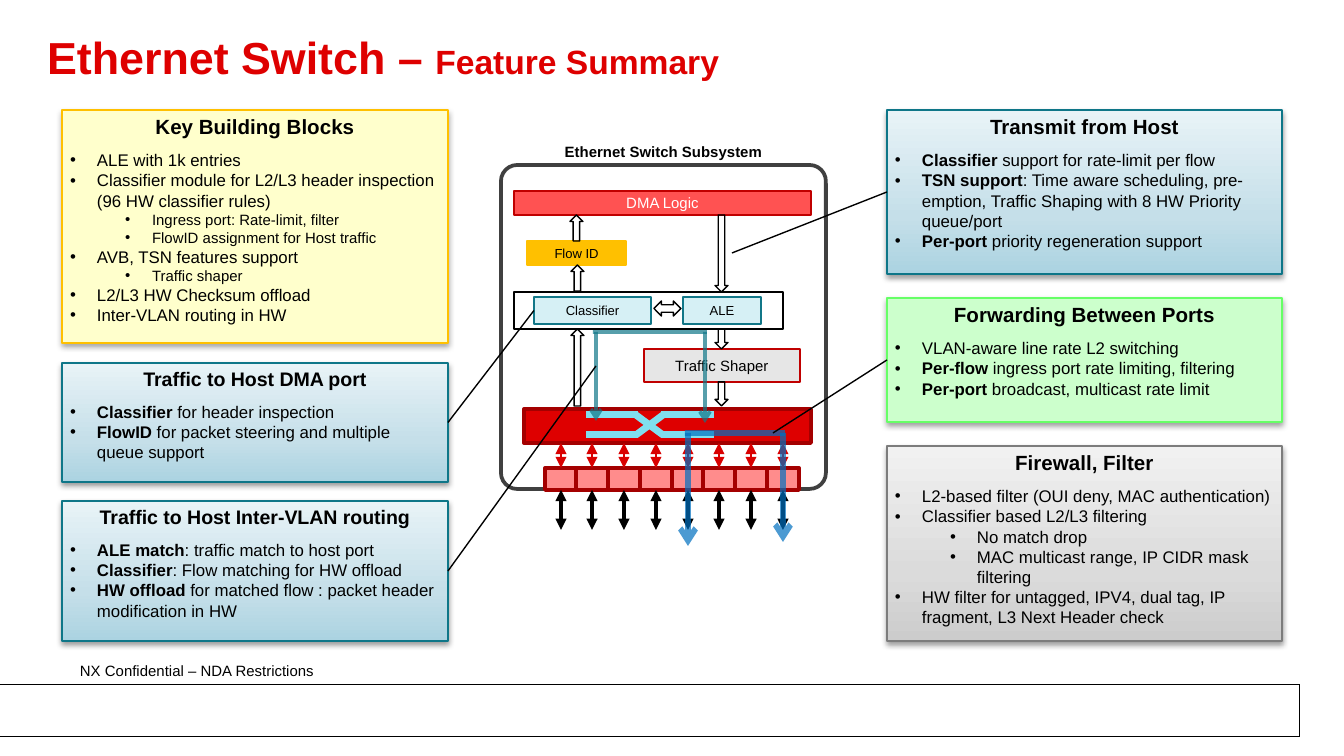
import pptx
import pptx.util
import pptx.dml.color
import pptx.enum.shapes
import pptx.enum.text
import pptx.oxml.ns
import lxml.etree
from dataclasses import dataclass

SHAPE = pptx.enum.shapes.MSO_SHAPE
ALIGN = pptx.enum.text.PP_ALIGN
ANCHOR = pptx.enum.text.MSO_ANCHOR
qn = pptx.oxml.ns.qn
TOP, LEFT, BOTTOM, RIGHT = range(4)


@dataclass(frozen=True)
class Theme:
    font: str = "Arial"
    black: str = "000000"
    white: str = "FFFFFF"
    red: str = "DE0000"
    red_edge: str = "A40000"
    red_arrow: str = "D90000"
    box_edge: str = "C00000"
    port: str = "FF8C8C"
    dma: str = "FF5252"
    amber: str = "FFC000"
    yellow: str = "FFFFCC"
    green: str = "CCFFCC"
    green_edge: str = "66FF66"
    gray: str = "E6E6E6"
    gray_edge: str = "7C7C7C"
    frame: str = "404040"
    cyan: str = "80DFEF"
    pale_blue: str = "D6F0F5"
    teal: str = "117788"
    panel_edge: str = "0E7688"
    blue: str = "0070C0"
    blue_grad: tuple = ((0, "ABD3E1"), (35, "C5DFE9"), (100, "E8F3F7"))
    gray_grad: tuple = ((0, "CCCCCC"), (35, "DBDBDB"), (100, "F1F1F1"))
    title: float = 24
    subtitle: float = 18
    heading: float = 11
    heading_small: float = 10.5
    body: float = 9
    small: float = 8
    tiny: float = 7
    thin: float = 0.75


def px(n):
    return round(n * 914400 / 134.4)


def rgb(color):
    return pptx.dml.color.RGBColor.from_string(color)


def child(parent, tag, **attrs):
    el = lxml.etree.SubElement(parent, qn(tag))
    for name, value in attrs.items():
        el.set(name, str(value))
    return el


class Deck:
    def __init__(self, theme):
        self.t = theme
        self.prs = pptx.Presentation()
        self.prs.slide_width, self.prs.slide_height = px(1344), px(756)
        self.s = self.prs.slides.add_slide(self.prs.slide_layouts[6])

    def shape(self, x, y, w, h, fill=None, edge=None, width=0.75, kind=SHAPE.RECTANGLE):
        sp = self.s.shapes.add_shape(kind, px(x), px(y), px(w), px(h))
        sp.shadow.inherit = False
        if fill is None:
            sp.fill.background()
        elif isinstance(fill, str):
            sp.fill.solid()
            sp.fill.fore_color.rgb = rgb(fill)
        else:
            sp.fill.gradient()
            sp.fill.gradient_angle = 90
            stops = sp._element.spPr.find(".//" + qn("a:gsLst"))
            for gs in list(stops):
                stops.remove(gs)
            for pos, color in fill:
                child(child(stops, "a:gs", pos=pos * 1000), "a:srgbClr", val=color)
        if edge:
            sp.line.color.rgb = rgb(edge)
            sp.line.width = pptx.util.Pt(width)
        else:
            sp.line.fill.background()
        return sp

    def frame(self, sp, ins, anchor=ANCHOR.TOP):
        tf = sp.text_frame
        tf.word_wrap = True
        tf.vertical_anchor = anchor
        tf.margin_left = tf.margin_right = px(ins[0])
        tf.margin_top = tf.margin_bottom = px(ins[1])
        return tf

    def run(self, p, text, size, color=None, bold=False):
        r = p.add_run()
        r.text = text
        r.font.name, r.font.size, r.font.bold = self.t.font, pptx.util.Pt(size), bold
        r.font.color.rgb = rgb(color or self.t.black)

    def text(self, x, y, w, h, runs, ins, align=ALIGN.LEFT, anchor=ANCHOR.TOP):
        sp = self.s.shapes.add_textbox(px(x), px(y), px(w), px(h))
        p = self.frame(sp, ins, anchor).paragraphs[0]
        p.alignment = align
        for r in runs:
            self.run(p, *r)
        return p

    def box(self, x, y, w, h, label, fill, edge, size, color=None):
        sp = self.shape(x, y, w, h, fill, edge)
        p = self.frame(sp, (21, 11), ANCHOR.MIDDLE).paragraphs[0]
        p.alignment = ALIGN.CENTER
        self.run(p, label, size, color)
        return sp

    def panel(self, x, y, w, h, fill, edge, heading, size, items, sub_size=9, opacity=38):
        """Items are (level, text); **marks** enclose bold words."""
        sp = self.shape(x, y, w, h, fill, edge)
        shadow = child(sp._element.spPr.find(qn("a:effectLst")), "a:outerShdw",
                       blurRad=pptx.util.Pt(3.1), dist=pptx.util.Pt(1.6),
                       dir=5400000, rotWithShape=0)
        color = child(shadow, "a:srgbClr", val=self.t.black)
        child(color, "a:alpha", val=opacity * 1000)
        tf = self.frame(sp, (8, 4))
        p = tf.paragraphs[0]
        p.alignment = ALIGN.CENTER
        p.space_after = pptx.util.Pt(6)
        self.run(p, heading, size, bold=True)
        for level, text in items:
            p = tf.add_paragraph()
            p.alignment = ALIGN.LEFT
            p.level = level
            pPr = p._p.get_or_add_pPr()
            pPr.set("marL", str(px(82 if level else 27)))
            pPr.set("indent", str(px(-27)))
            child(pPr, "a:buFont", typeface=self.t.font)
            child(pPr, "a:buChar", char="•")
            for i, part in enumerate(text.split("**")):
                if part:
                    self.run(p, part, sub_size if level else self.t.body, bold=i % 2 == 1)
        return sp

    def line(self, x1, y1, x2, y2, color, width=0.75, head=None, tail=None,
             opacity=None, begin=None, end=None):
        c = self.s.shapes.add_connector(pptx.enum.shapes.MSO_CONNECTOR.STRAIGHT,
                                        px(x1), px(y1), px(x2), px(y2))
        c.line.color.rgb = rgb(color)
        c.line.width = pptx.util.Pt(width)
        ln = c.line._get_or_add_ln()
        if opacity:
            child(ln.find(".//" + qn("a:srgbClr")), "a:alpha", val=opacity * 1000)
        for tag, kind in (("a:headEnd", head), ("a:tailEnd", tail)):
            if kind:
                child(ln, tag, type=kind)
        child(c._element.spPr, "a:effectLst")
        if begin:
            c.begin_connect(*begin)
        if end:
            c.end_connect(*end)


def main():
    t = Theme()
    d = Deck(t)

    # Footer
    d.shape(7, 698, 1285, 51, t.white)
    d.shape(0, 684, 1298, 51, t.white)
    for ends in ((0, 736, 1300, 736), (0, 684, 1300, 684), (1299, 736, 1299, 684)):
        d.line(*ends, t.black, 0.25)
    d.text(67, 655, 372, 32, [("NX Confidential – NDA Restrictions", t.small)], (13, 7))

    # Title
    p = d.text(34, 16, 1243, 90, [("Ethernet Switch – ", t.title, t.red, True),
                                  ("Feature Summary", t.subtitle, t.red, True)],
               (13, 7), anchor=ANCHOR.MIDDLE)
    p.line_spacing = 0.85

    # Feature panels
    left, right = (62, 386), (887, 395)
    forwarding = d.panel(right[0], 298, right[1], 124, t.green, t.green_edge,
                         "Forwarding Between Ports", t.heading, [
        (0, "VLAN-aware line rate L2 switching"),
        (0, "**Per-flow** ingress port rate limiting, filtering"),
        (0, "**Per-port** broadcast, multicast rate limit")])
    d.panel(left[0], 110, left[1], 233, t.yellow, t.amber, "Key Building Blocks", t.heading, [
        (0, "ALE with 1k entries"),
        (0, "Classifier module for L2/L3 header inspection (96 HW classifier rules)"),
        (1, "Ingress port: Rate-limit, filter"),
        (1, "FlowID assignment for Host traffic"),
        (0, "AVB, TSN features support"),
        (1, "Traffic shaper"),
        (0, "L2/L3 HW Checksum offload"),
        (0, "Inter-VLAN routing in HW")], t.small, 35)
    host_dma = d.panel(left[0], 363, left[1], 119, t.blue_grad, t.panel_edge,
                       "Traffic to Host DMA port", t.heading_small, [
        (0, "**Classifier** for header inspection"),
        (0, "**FlowID** for packet steering and multiple queue support")])
    transmit = d.panel(right[0], 110, right[1], 164, t.blue_grad, t.panel_edge,
                       "Transmit from Host", t.heading, [
        (0, "**Classifier **support for rate-limit per flow"),
        (0, "**TSN support**: Time aware scheduling, pre-emption, "
            "Traffic Shaping with 8 HW Priority queue/port"),
        (0, "**Per-port **priority regeneration support")])
    d.panel(right[0], 446, right[1], 195, t.gray_grad, t.gray_edge,
            "Firewall, Filter", t.heading, [
        (0, "L2-based filter (OUI deny, MAC authentication)"),
        (0, "Classifier based L2/L3 filtering"),
        (1, "No match drop"),
        (1, "MAC multicast range, IP CIDR mask filtering"),
        (0, "HW filter for untagged, IPV4, dual tag, IP fragment, L3 Next Header check")])
    routing = d.panel(left[0], 501, left[1], 140, t.blue_grad, t.panel_edge,
                      "Traffic to Host Inter-VLAN routing", t.heading_small, [
        (0, "**ALE match**: traffic match to host port"),
        (0, "**Classifier**: Flow matching for HW offload"),
        (0, "**HW offload **for matched flow : packet header modification in HW")])

    # Subsystem frame and switch fabric
    sp = d.shape(501, 165, 325, 324, t.white, t.frame, 2, SHAPE.ROUNDED_RECTANGLE)
    sp.adjustments[0] = 0.05
    d.shape(524, 409, 287, 34, t.red, t.red_edge, 2)
    for y1, y2 in ((415, 435), (435, 415)):
        d.line(586, y1, 638, y1, t.cyan, 3.75)
        d.line(636, y1, 663, y2, t.cyan, 3.75)
        d.line(661, y2, 714, y2, t.cyan, 3.75)

    # Eight ports with inner and outer links
    for i in range(8):
        x = 545 + 254 * i // 8
        port = d.shape(x, 468, 32, 22, t.port, t.red_edge, 2)
        d.line(x + 16, 468, x + 16, 443, t.red_arrow, t.thin, "triangle", "triangle",
               begin=(port, TOP))
        d.line(x + 16, 490, x + 16, 530, t.black, 2, "triangle", "triangle",
               begin=(port, BOTTOM))

    # Processing blocks
    classifier = d.box(534, 297, 117, 27, "Classifier", t.pale_blue, t.teal, t.tiny)
    d.box(527, 241, 99, 24, "Flow ID", t.amber, t.amber, t.tiny)
    d.box(514, 191, 297, 24, "DMA Logic", t.dma, t.box_edge, t.small, t.white)
    d.text(538, 134, 251, 40, [("Ethernet Switch Subsystem", t.small, t.black, True)],
           (21, 11), ALIGN.CENTER)
    d.box(683, 297, 78, 27, "ALE", t.pale_blue, t.teal, t.tiny)
    d.shape(514, 292, 269, 37, edge=t.black)
    d.box(644, 349, 156, 33, "Traffic Shaper", t.gray, t.box_edge, t.small)

    # Block arrows between stages
    d.shape(654, 301, 27, 15, edge=t.black, kind=SHAPE.LEFT_RIGHT_ARROW)
    for x, y, h, kind in ((571, 265, 26, SHAPE.UP_ARROW), (570, 215, 26, SHAPE.UP_ARROW),
                          (571, 329, 77, SHAPE.UP_ARROW), (715, 215, 77, SHAPE.DOWN_ARROW),
                          (715, 329, 20, SHAPE.DOWN_ARROW), (715, 382, 24, SHAPE.DOWN_ARROW)):
        d.shape(x, y, 13, h, edge=t.black, kind=kind)

    # Traffic paths: routed through the host, switched between ports
    for color, width, x1, x2, y, y1, y2 in ((t.teal, 2, 596, 705, 332, 421, 423),
                                            (t.blue, 3, 688, 783, 433, 546, 542)):
        d.line(x1, y, x1, y1, color, width, tail="arrow", opacity=70)
        d.line(x1 - 3, y, x2 + 2, y, color, width, opacity=70)
        d.line(x2, y, x2, y2, color, width, tail="arrow", opacity=70)

    # Callout lines
    d.line(732, 253, 887, 192, t.black, end=(transmit, LEFT))
    d.line(448, 422, 534, 310, t.black, begin=(host_dma, RIGHT), end=(classifier, LEFT))
    d.line(773, 433, 887, 360, t.black, end=(forwarding, LEFT))
    d.line(596, 366, 448, 571, t.black, end=(routing, RIGHT))

    d.prs.save("out.pptx")


if __name__ == "__main__":
    main()
